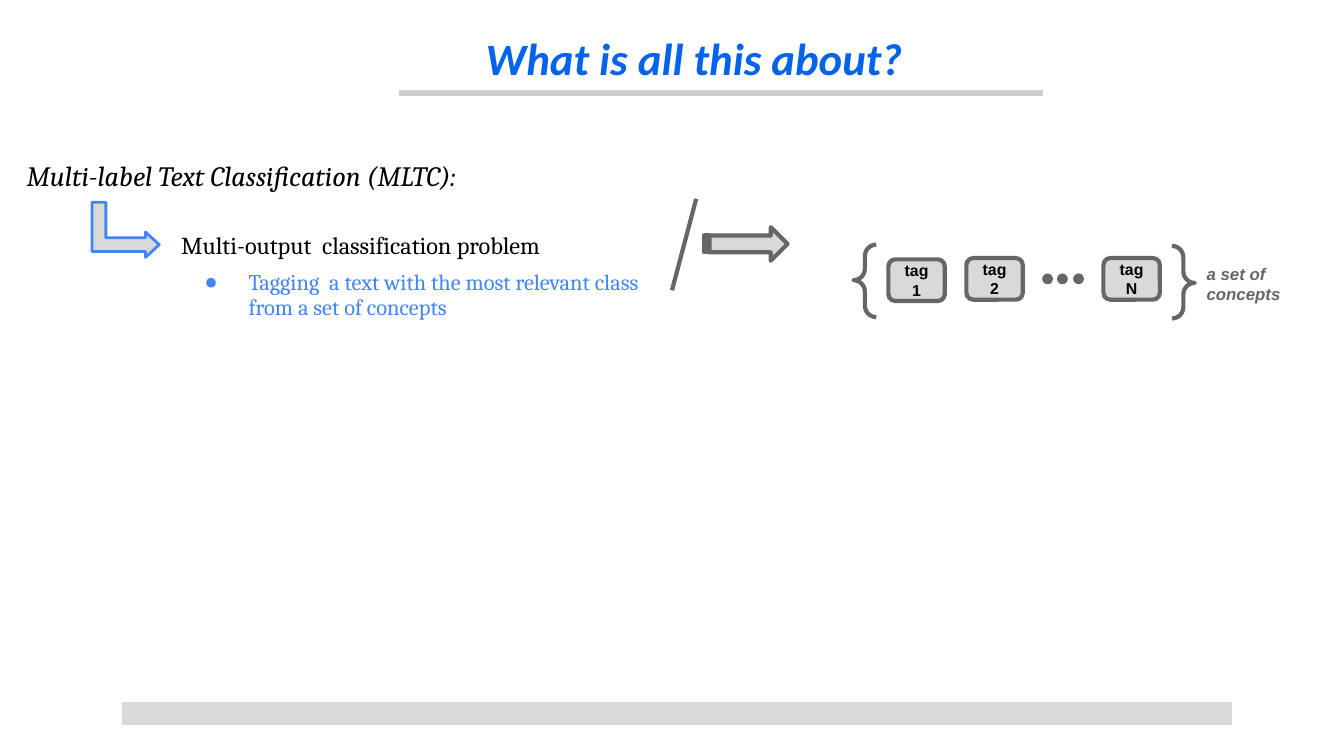
from lxml import etree
from pptx import Presentation
from pptx.dml.color import RGBColor
from pptx.enum.shapes import MSO_CONNECTOR, MSO_SHAPE
from pptx.enum.text import MSO_ANCHOR, MSO_AUTO_SIZE, PP_ALIGN
from pptx.oxml.ns import qn
from pptx.util import Inches, Pt

LINE = MSO_CONNECTOR.STRAIGHT
ROUND = MSO_SHAPE.ROUNDED_RECTANGLE
DOT = MSO_SHAPE.OVAL
BRACE = MSO_SHAPE.RIGHT_BRACE
STRIPED = MSO_SHAPE.STRIPED_RIGHT_ARROW
BENT = MSO_SHAPE.BENT_UP_ARROW
TOP, MIDDLE = MSO_ANCHOR.TOP, MSO_ANCHOR.MIDDLE
LEFT, CENTER = PP_ALIGN.LEFT, PP_ALIGN.CENTER
FIXED = MSO_AUTO_SIZE.NONE

BLACK = RGBColor(0x00, 0x00, 0x00)
GRAY = RGBColor(0x66, 0x66, 0x66)
SILVER = RGBColor(0xCC, 0xCC, 0xCC)
PALE = RGBColor(0xD9, 0xD9, 0xD9)
BLUE = RGBColor(0x42, 0x85, 0xF4)
BRIGHT = RGBColor(0x03, 0x63, 0xEB)


def write(box, text, font, size, color, bold=False, italic=False,
          align=LEFT, anchor=TOP, space=1.0):
    frame = box.text_frame
    frame.word_wrap = True
    frame.auto_size = FIXED
    frame.vertical_anchor = anchor
    frame.margin_left = frame.margin_right = Inches(0.1)
    frame.margin_top = frame.margin_bottom = Inches(0.1)
    frame.text = text
    for para in frame.paragraphs:
        para.alignment = align
        para.line_spacing = space
        para.space_before = Pt(0)
        for run in para.runs:
            run.font.name = font
            run.font.size = Pt(size)
            run.font.bold = bold
            run.font.italic = italic
            run.font.color.rgb = color


def draw(kind, at, fill, line, width):
    shape = slide.shapes.add_shape(kind, *map(Inches, at))
    shape.shadow.inherit = False
    if fill is None:
        shape.fill.background()
    else:
        shape.fill.solid()
        shape.fill.fore_color.rgb = fill
    shape.line.color.rgb = line
    shape.line.width = Pt(width)
    return shape


deck = Presentation()
deck.slide_width = Inches(10)
deck.slide_height = Inches(10 * 9 / 16)
slide = deck.slides.add_slide(deck.slide_layouts[1])

title = slide.shapes.title
body = slide.placeholders[1]
for box, at in ((title, (2.94, 0.13, 4.45, 0.63)),
                (body, (1.25, 1.92, 3.8, 0.57))):
    box.left, box.top, box.width, box.height = map(Inches, at)

write(title, "What is all this about?", "Calibri", 24, BRIGHT,
      bold=True, italic=True, align=CENTER)
write(body, "Tagging  a text with the most relevant class from a set of concepts",
      "Cambria", 12, BLUE, space=0.9)
props = body.text_frame.paragraphs[0]._p.get_or_add_pPr()
props.set("marL", str(Inches(0.5)))
props.set("indent", str(Inches(-0.33)))
tint = etree.SubElement(props, qn("a:buClr"))
etree.SubElement(tint, qn("a:srgbClr"), val=str(BLUE))
etree.SubElement(props, qn("a:buChar"), char="●")

for ends, color, width in (
    ((0.91, 5.31, 9.17, 5.31), PALE, 12),
    ((2.97, 0.69, 7.76, 0.69), SILVER, 3),
    ((5.18, 1.48, 5, 2.16), GRAY, 2.25),
):
    rule = slide.shapes.add_connector(LINE, *map(Inches, ends))
    rule.line.color.rgb = color
    rule.line.width = Pt(width)
    etree.SubElement(rule._element.spPr, qn("a:effectLst"))

for at, text, size, italic in (
    ((0.1, 1.11, 4.15, 0.47), "Multi-label Text Classification (MLTC):", 15, True),
    ((1.25, 1.64, 3.48, 0.36), "Multi-output  classification problem", 13, False),
):
    box = slide.shapes.add_textbox(*map(Inches, at))
    write(box, text, "Cambria", size, BLACK, italic=italic, space=0.9)

bent = draw(BENT, (0.73, 1.46, 0.41, 0.5), PALE, BLUE, 1.5)
bent.rotation = 90
bent.adjustments[1] = 0.23
draw(STRIPED, (5.24, 1.69, 0.62, 0.25), PALE, GRAY, 2.25)

for left, top, text in ((6.61, 1.93, "tag1"), (7.19, 1.92, "tag2"),
                        (8.21, 1.92, "tagN")):
    tag = draw(ROUND, (left, top, 0.42, 0.31), PALE, GRAY, 2.25)
    write(tag, text, "Arial", 8.5, BLACK, bold=True, align=CENTER, anchor=MIDDLE)

for left in (7.76, 7.87, 7.99):
    draw(DOT, (left, 2.04, 0.07, 0.07), GRAY, GRAY, 0.75)

for left, top, turn in ((6.35, 1.82, 180), (8.72, 1.83, 0)):
    brace = draw(BRACE, (left, top, 0.17, 0.54), None, GRAY, 2.25)
    brace.rotation = turn
    brace.adjustments[0] = 0.5
    brace.adjustments[1] = 0.51

note = slide.shapes.add_textbox(*map(Inches, (8.88, 1.86, 0.83, 0.5)))
write(note, "a set of\nconcepts", "Arial", 9, GRAY, bold=True, italic=True)

deck.save("out.pptx")
